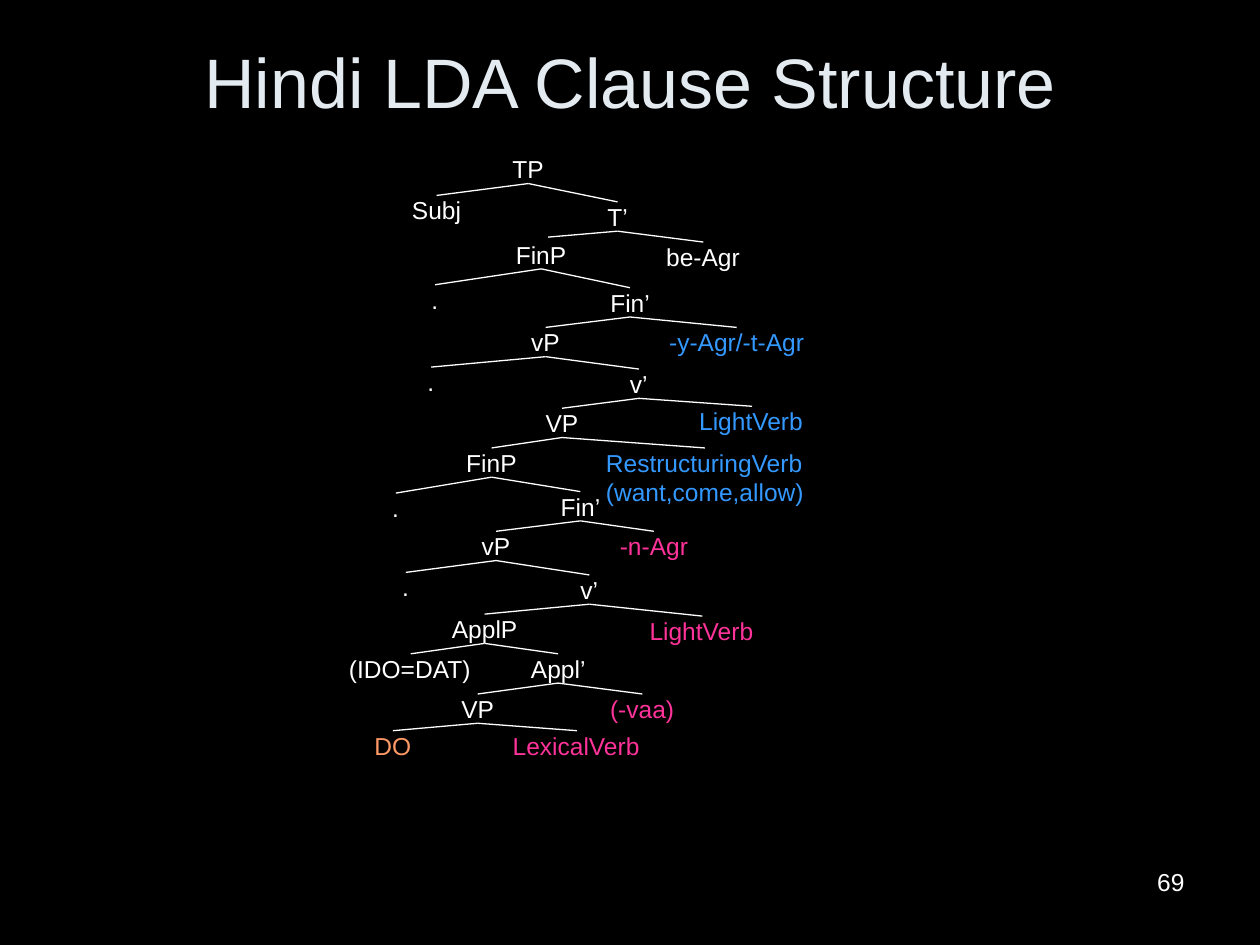
"""Build a slide with the syntax tree of a Hindi long-distance agreement clause."""
from lxml import etree
from pptx import Presentation
from pptx.dml.color import RGBColor
from pptx.enum.shapes import MSO_CONNECTOR
from pptx.enum.text import MSO_ANCHOR, MSO_AUTO_SIZE, PP_ALIGN
from pptx.oxml.ns import qn
from pptx.util import Cm, Pt

STRAIGHT = MSO_CONNECTOR.STRAIGHT
TOP, MIDDLE = MSO_ANCHOR.TOP, MSO_ANCHOR.MIDDLE
FIT, FIXED = MSO_AUTO_SIZE.SHAPE_TO_FIT_TEXT, MSO_AUTO_SIZE.NONE
LEFT, CENTER, RIGHT = PP_ALIGN.LEFT, PP_ALIGN.CENTER, PP_ALIGN.RIGHT
WHITE, PALE, BLUE, PINK, ORANGE = "FFFFFF", "E3EBF1", "3399FF", "FF3399", "FF9966"
LINE_HEIGHT = 0.59
SLACK = 0.06


def color(value):
    return RGBColor.from_string(value)


def add_text(text, place, size, ink, align, frame_format):
    box = page.shapes.add_textbox(*[Cm(length) for length in place])
    for name, value in frame_format.items():
        setattr(box.text_frame, name, value)
    for index, line in enumerate(text.split("\n")):
        para = box.text_frame.paragraphs[0] if index == 0 else box.text_frame.add_paragraph()
        para.alignment = align
        span = para.add_run()
        span.text = line
        for name, value in {"name": "Arial", "size": Pt(size)}.items():
            setattr(span.font, name, value)
        span.font.color.rgb = color(ink)


deck = Presentation()
deck.slide_width, deck.slide_height = Cm(25.4), Cm(19.05)
page = deck.slides.add_slide(deck.slide_layouts[6])
page.background.fill.solid()
page.background.fill.fore_color.rgb = color("000000")

title_format = {"word_wrap": True, "auto_size": FIXED, "vertical_anchor": MIDDLE}
number_format = {**title_format, "vertical_anchor": TOP}
margins = ("margin_left", "margin_top", "margin_right", "margin_bottom")
node_format = {"word_wrap": False, "auto_size": FIT, "vertical_anchor": MIDDLE,
               **dict.fromkeys(margins, 0)}

add_text("69", (18.21, 17.35, 5.92, 1.32), 14, WHITE, RIGHT, number_format)
add_text("Hindi LDA Clause Structure", (1.27, 0.78, 22.86, 1.7), 40, PALE, CENTER, title_format)

widths = {
    "TP": 0.64, "Subj": 0.99, "T’": 0.41, "FinP": 1.02, "be-Agr": 1.5, ".": 0.15,
    "Fin’": 0.79, "vP": 0.58, "-y-Agr/-t-Agr": 2.72, "v’": 0.36, "VP": 0.66,
    "LightVerb": 2.13, "RestructuringVerb\n(want,come,allow)": 3.99, "-n-Agr": 1.37,
    "ApplP": 1.32, "(IDO=DAT)": 2.49, "Appl’": 1.09, "(-vaa)": 1.3, "DO": 0.74,
    "LexicalVerb": 2.59,
}
root = ("TP", 10.65, 3.11, WHITE)
levels = [
    (("T’", 12.45, 4.07, WHITE), ("Subj", 8.8, 3.94, WHITE)),
    (("FinP", 10.91, 4.83, WHITE), ("be-Agr", 14.18, 4.88, WHITE)),
    (("Fin’", 12.7, 5.8, WHITE), (".", 8.77, 5.74, WHITE)),
    (("vP", 11, 6.6, WHITE), ("-y-Agr/-t-Agr", 14.85, 6.6, BLUE)),
    (("v’", 12.88, 7.44, WHITE), (".", 8.69, 7.4, WHITE)),
    (("VP", 11.33, 8.23, WHITE), ("LightVerb", 15.16, 8.19, BLUE)),
    (("FinP", 9.91, 9.03, WHITE), ("RestructuringVerb\n(want,come,allow)", 14.21, 9.03, BLUE)),
    (("Fin’", 11.7, 9.91, WHITE), (".", 7.98, 9.94, WHITE)),
    (("vP", 10, 10.71, WHITE), ("-n-Agr", 13.18, 10.71, PINK)),
    (("v’", 11.88, 11.59, WHITE), (".", 8.18, 11.54, WHITE)),
    (("ApplP", 9.77, 12.38, WHITE), ("LightVerb", 14.16, 12.42, PINK)),
    (("Appl’", 11.25, 13.18, WHITE), ("(IDO=DAT)", 8.28, 13.18, WHITE)),
    (("VP", 9.63, 13.99, WHITE), ("(-vaa)", 12.95, 13.99, PINK)),
    (("LexicalVerb", 11.63, 14.73, PINK), ("DO", 7.92, 14.73, ORANGE)),
]
branch_ends = {(10.91, 4.83): (11.05, 4.78)}

parent = root
for head, leaf in levels:
    for child in (head, leaf):
        end = branch_ends.get(child[1:3], child[1:3])
        points = (parent[1], parent[2] + LINE_HEIGHT, *end)
        branch = page.shapes.add_connector(STRAIGHT, *[Cm(length) for length in points])
        branch.line.color.rgb = color(WHITE)
        branch.line.width = Pt(0.75)
        etree.SubElement(branch.element.spPr, qn("a:effectLst"))
    parent = head

for text, middle, top, ink in [root, *[node for level in levels for node in level]]:
    width = widths[text]
    height = LINE_HEIGHT * len(text.split("\n"))
    place = (middle - width / 2, top, width + SLACK, height)
    add_text(text, place, 14, ink, LEFT, node_format)

deck.save("out.pptx")
